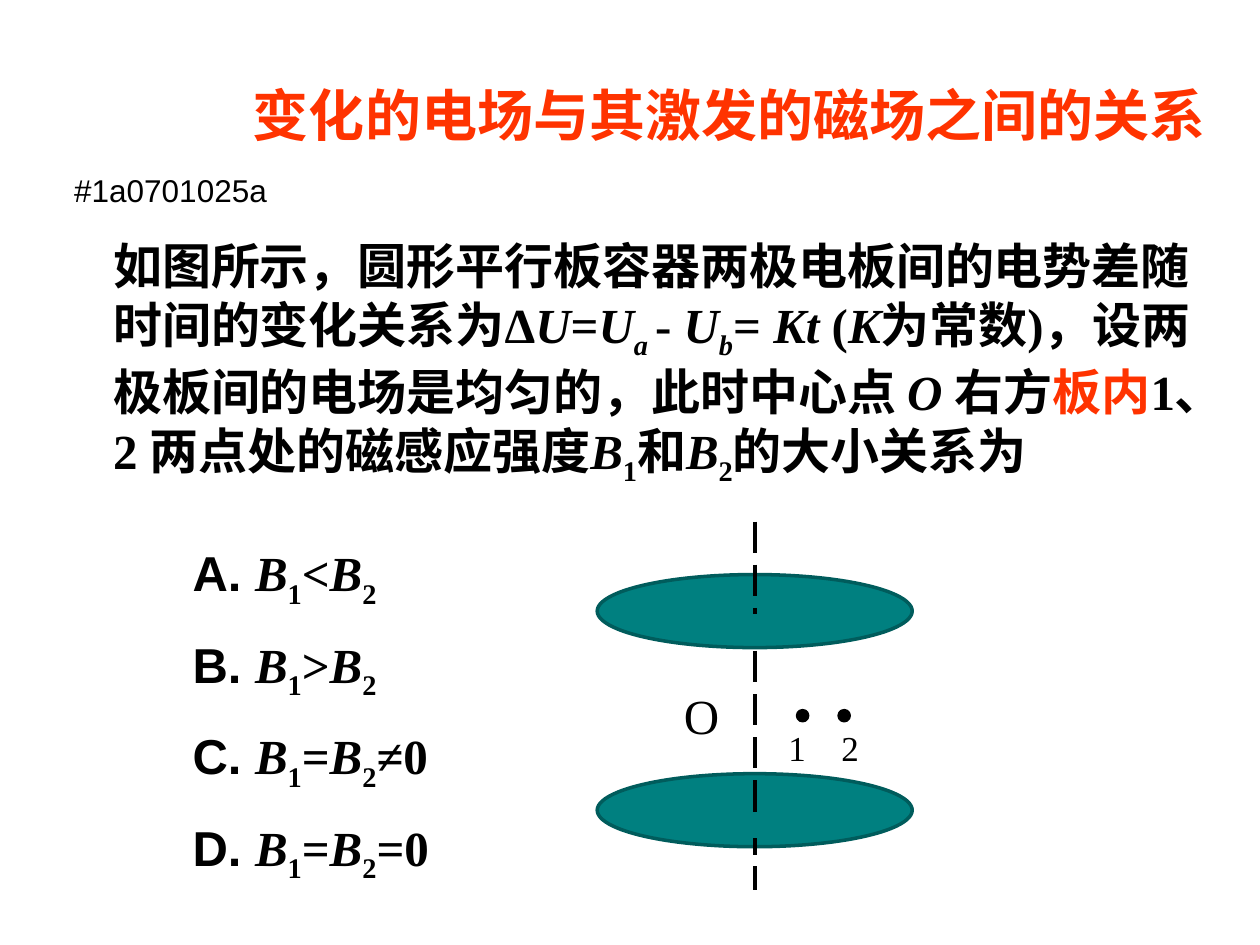
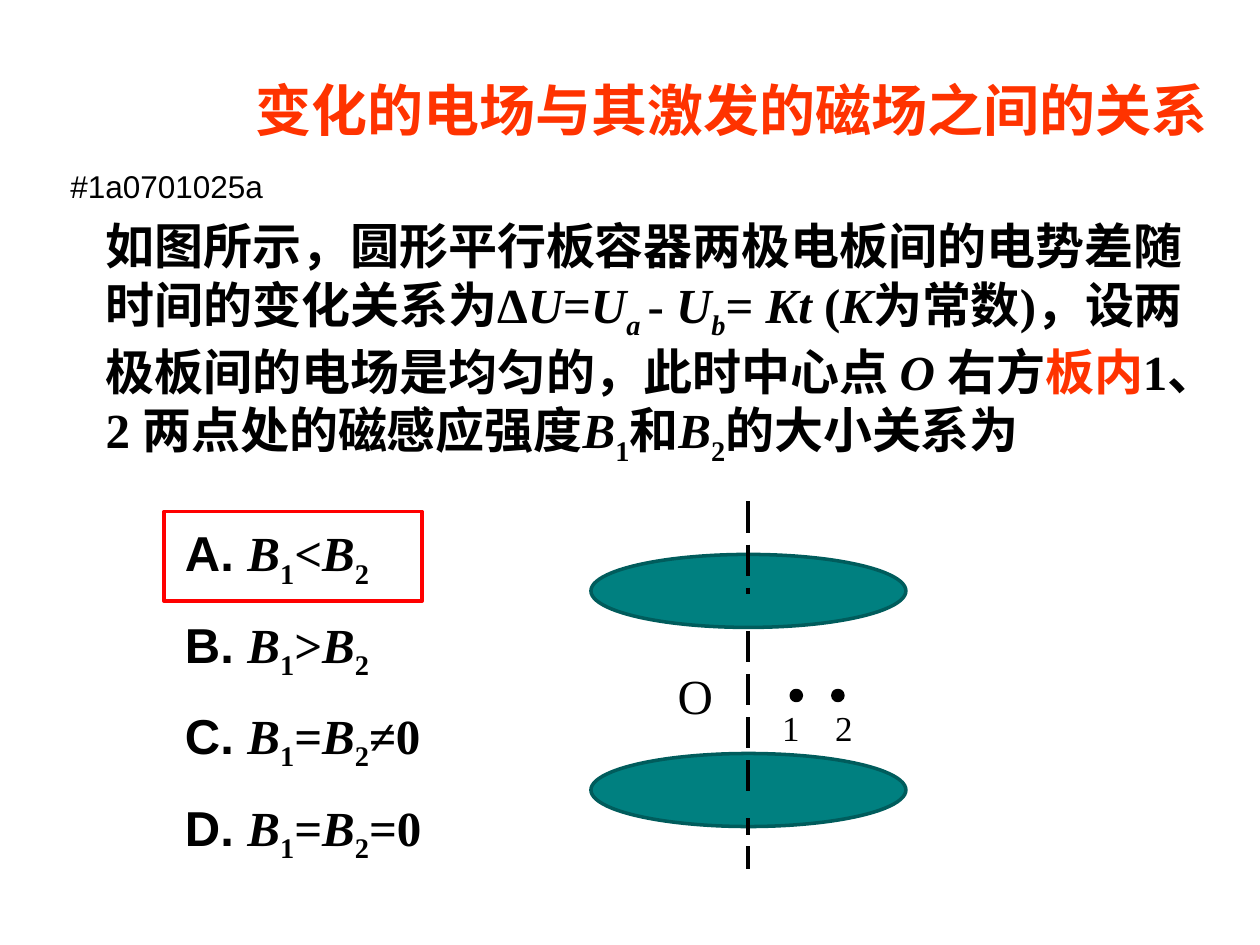
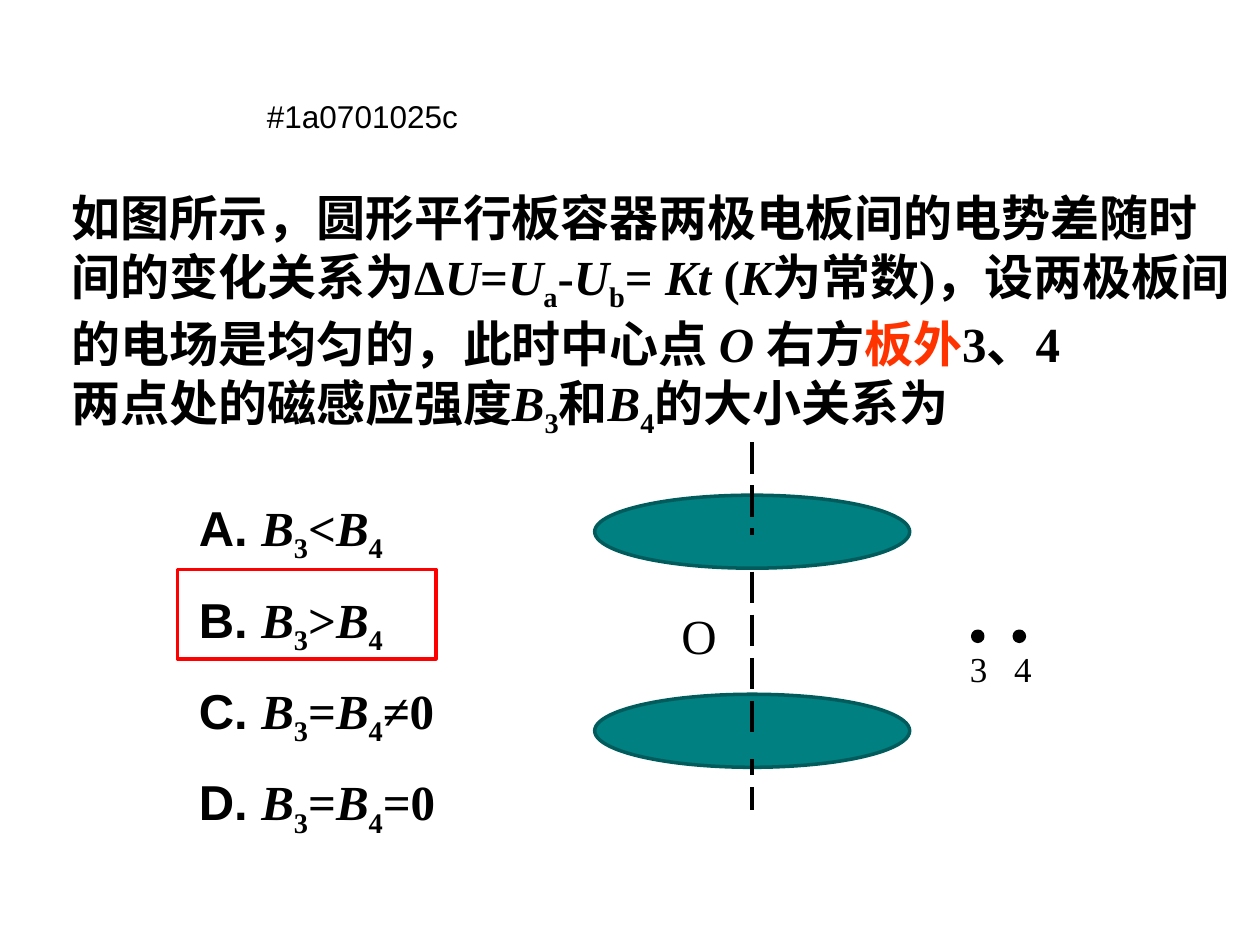
from pptx import Presentation
from pptx.dml.color import RGBColor
from pptx.enum.dml import MSO_LINE
from pptx.enum.shapes import MSO_CONNECTOR, MSO_SHAPE
from pptx.oxml.ns import qn
from pptx.util import Inches, Pt
from lxml import etree

OVAL = MSO_SHAPE.OVAL
RECT = MSO_SHAPE.RECTANGLE
STRAIGHT = MSO_CONNECTOR.STRAIGHT
LONG_DASH = MSO_LINE.LONG_DASH

COLORS = {"black": "000000", "title": "FF3300", "plate": "008080",
          "plate_edge": "005C5C", "answer": "FF0000"}
HAN = "Noto Sans CJK SC"
SERIF = "Times New Roman"
SANS = "Arial"
TITLE = "变化的电场与其激发的磁场之间的关系"


def rgb(name):
    return RGBColor.from_string(COLORS[name])


def add_run(p, text, size=28, font=SERIF, color="black", bold=False, italic=False, sub=False):
    r = p.add_run()
    r.text = text
    r.font.size = Pt(size)
    r.font.name = font
    r.font.bold = bold
    r.font.italic = italic
    r.font.color.rgb = rgb(color)
    rPr = r.font._element
    etree.SubElement(rPr, qn("a:ea")).set("typeface", HAN)
    if sub:
        rPr.set("baseline", "-25000")


def han(text, **fmt):
    return text, dict(font=HAN, **fmt)


def var(text, **fmt):
    return text, dict(italic=True, **fmt)


def sub(text, **fmt):
    return text, dict(sub=True, **fmt)


def plain(text):
    return text, {}


def question(place, points, subs, minus):
    first, second = points
    sub_a, sub_b = subs
    setup = [
        han("如图所示，圆形平行板容器两极电板间的电势差随时间的变化关系为"),
        plain("Δ"), var("U"), plain("="), var("U"), sub_a, plain(minus),
        var("U"), sub_b, plain("= "), var("Kt "), plain("("), var("K"),
        han("为常数"), plain(")，"), han("设两极板间的电场是均匀的，此时中心点 "),
        var("O "), han("右方"), han(place, color="title"),
    ]
    ask = [han("两点处的磁感应强度"), var("B"), sub(first), han("和"),
           var("B"), sub(second), han("的大小关系为")]
    return setup, ask


def options(points):
    first, second = points
    signs = [("<", ""), (">", ""), ("=", "≠0"), ("=", "=0")]
    return [[(f"{letter}. ", dict(font=SANS)), var("B"), sub(first), plain(sign),
             var("B"), sub(second)] + ([plain(tail)] if tail else [])
            for letter, (sign, tail) in zip("ABCD", signs)]


class Deck:
    def __init__(self):
        self.prs = Presentation()
        self.prs.slide_width = Inches(10)
        self.prs.slide_height = Inches(7.5)
        self.s = None

    def new_slide(self):
        self.s = self.prs.slides.add_slide(self.prs.slide_layouts[6])

    def text(self, x, y, w, h, paragraphs, before=0, hanging=0, tab=0, wrap=True, **fmt):
        sp = self.s.shapes.add_textbox(Inches(x), Inches(y), Inches(w), Inches(h))
        tf = sp.text_frame
        tf.word_wrap = wrap
        for i, runs in enumerate(paragraphs):
            p = tf.paragraphs[0] if i == 0 else tf.add_paragraph()
            p.space_before = Pt(before)
            pPr = p._p.get_or_add_pPr()
            if hanging:
                pPr.set("marL", str(Inches(hanging)))
                pPr.set("indent", str(-Inches(hanging)))
            if tab:
                tabs = etree.SubElement(pPr, qn("a:tabLst"))
                etree.SubElement(tabs, qn("a:tab"), pos=str(Inches(tab)), algn="l")
            for text, own in runs:
                add_run(p, text, **{**fmt, **own})

    def shape(self, kind, x, y, w, h, fill=None, line="black"):
        sp = self.s.shapes.add_shape(kind, Inches(x), Inches(y), Inches(w), Inches(h))
        sp.shadow.inherit = False
        if fill:
            sp.fill.solid()
            sp.fill.fore_color.rgb = rgb(fill)
        else:
            sp.fill.background()
        sp.line.color.rgb = rgb(line)
        sp.line.width = Pt(2)

    def axis(self, x, y, length):
        c = self.s.shapes.add_connector(STRAIGHT, Inches(x), Inches(y),
                                        Inches(x), Inches(y + length))
        c.line.color.rgb = rgb("black")
        c.line.width = Pt(2.25)
        c.line.dash_style = LONG_DASH
        etree.SubElement(c._element.spPr, qn("a:effectLst"))

    def title(self, x, y):
        self.text(x, y, 8.5, 0.64, [[han(TITLE)]], size=32, color="title", bold=True)

    def code(self, x, y, code):
        self.text(x, y, 2.89, 0.4, [[plain(code)]], size=18, font=SANS)

    def question(self, x, y, w, h, paragraphs):
        self.text(x, y, w, h, paragraphs, bold=True)

    def options(self, x, y, points):
        self.text(x, y, 2.76, 2.81, options(points), before=14, hanging=0.38, bold=True)

    def capacitor(self, x, y, points, dot_x=1.59, label_x=1.42, tab=0.42):
        for plate_y in (0.42, 2):
            self.shape(OVAL, x, y + plate_y, 2.5, 0.58, "plate", "plate_edge")
        self.text(x + 0.59, y + 1.25, 0.48, 0.57, [[plain("O")]], wrap=False)
        self.axis(x + 1.25, y, 2.92)
        for i in range(len(points)):
            self.shape(OVAL, x + dot_x + 0.33 * i, y + 1.5, 0.08, 0.08, "black")
        self.text(x + label_x, y + 1.58, 1, 0.44, [[plain("\t".join(points))]],
                  tab=tab, size=20)
        for mask_x, mask_y in ((1.09, 2.33), (1, 0.75)):
            self.shape(RECT, x + mask_x, y + mask_y, 0.42, 0.17, "plate", "plate")

    def answer(self, x, y):
        self.shape(RECT, x, y, 2.05, 0.71, line="answer")


def inside_slide(deck, title_at, code_at, question_at, options_at, capacitor_at):
    setup, ask = question("板内", "12", (sub("a ", italic=True), sub("b", italic=True)), "- ")
    deck.new_slide()
    deck.question(*question_at, 9.08, 2.57, [setup + [plain("1、2 ")] + ask])
    deck.options(*options_at, "12")
    deck.capacitor(*capacitor_at, "12")
    deck.code(*code_at, "#1a0701025a")
    deck.title(*title_at)


def outside_slide(deck):
    setup, ask = question("板外", "34", (sub("a"), sub("b")), "-")
    deck.new_slide()
    deck.question(0.47, 1.44, 9.42, 2.1, [setup + [plain("3、4")], ask])
    deck.options(1.48, 3.9, "34")
    deck.capacitor(4.72, 3.51, "34", dot_x=3, label_x=2.88, tab=0.35)
    deck.code(2.02, 0.72, "#1a0701025c")
    deck.answer(1.41, 4.52)


def main():
    deck = Deck()
    inside_slide(deck, (1.91, 0.59), (0.49, 1.31), (0.8, 1.82), (1.43, 4.26), (4.74, 4.14))
    inside_slide(deck, (1.93, 0.55), (0.46, 1.28), (0.74, 1.66), (1.37, 4.1), (4.69, 3.98))
    deck.answer(1.3, 4.06)
    outside_slide(deck)
    deck.prs.save("out.pptx")


if __name__ == "__main__":
    main()
